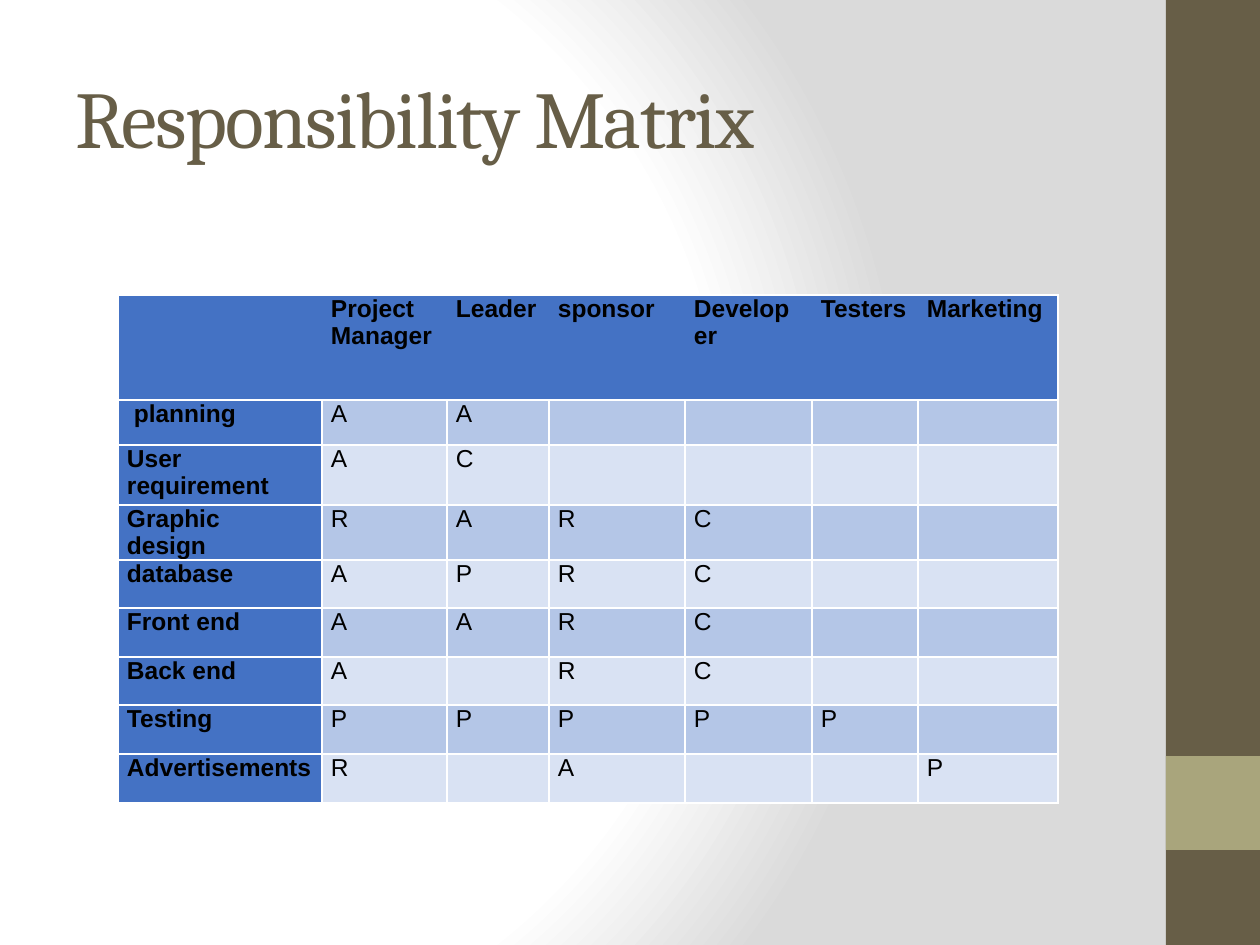
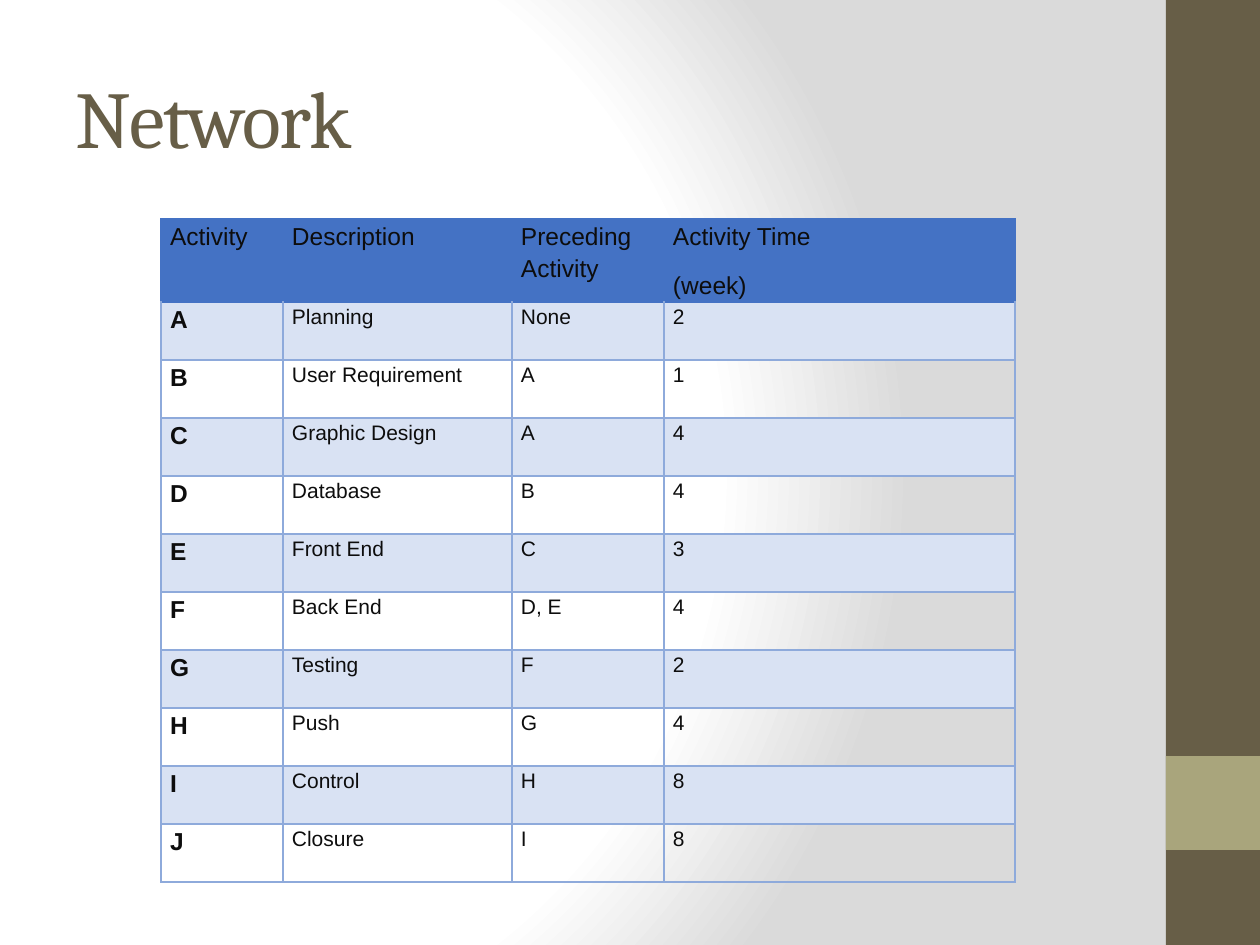
import lxml.etree
import pptx
import pptx.dml.color
import pptx.enum.shapes
import pptx.enum.text
import pptx.oxml
import pptx.oxml.ns
import pptx.util

RGB = pptx.dml.color.RGBColor
qn = pptx.oxml.ns.qn

PX = 914400 / 126  # EMU in one px

BROWN = RGB(0x67, 0x5E, 0x47)
SAGE = RGB(0xA9, 0xA5, 0x7C)
BLUE = RGB(0x44, 0x72, 0xC4)
MID_BLUE = RGB(0xB4, 0xC6, 0xE7)
PALE_BLUE = RGB(0xD9, 0xE2, 0xF3)
LINE_BLUE = RGB(0x8E, 0xAA, 0xDB)
WHITE = RGB(0xFF, 0xFF, 0xFF)
BLACK = RGB(0x00, 0x00, 0x00)
INK = RGB(0x0D, 0x0D, 0x0D)

NO_TABLE_STYLE = "{2D5ABB26-0587-4C30-8999-92F81FD0307C}"
BACKGROUND = f"""
<p:bg {pptx.oxml.ns.nsdecls("p", "a")}><p:bgPr>
  <a:gradFill rotWithShape="1">
    <a:gsLst>
      <a:gs pos="0"><a:srgbClr val="FFFFFF"/></a:gs>
      <a:gs pos="75000"><a:srgbClr val="FFFFFF"/></a:gs>
      <a:gs pos="100000"><a:srgbClr val="DADADA"/></a:gs>
    </a:gsLst>
    <a:path path="circle"><a:fillToRect l="20000" t="50000" r="100000" b="50000"/></a:path>
  </a:gradFill>
  <a:effectLst/>
</p:bgPr></p:bg>"""


def px(*lengths):
    return [pptx.util.Emu(round(length * PX)) for length in lengths]


def add_grid(slide, left, top, widths, heights, rows):
    """Add an unstyled table holding the texts of rows, and return it."""
    frame = slide.shapes.add_table(
        len(rows), len(widths), *px(left, top, sum(widths), sum(heights)))
    table = frame.table
    table.first_row = table.horz_banding = False
    frame.element.find(".//" + qn("a:tableStyleId")).text = NO_TABLE_STYLE
    for column, width in zip(table.columns, px(*widths)):
        column.width = width
    for row, height, texts in zip(table.rows, px(*heights), rows):
        row.height = height
        for cell, text in zip(row.cells, texts):
            cell.text = text
            cell.margin_left, cell.margin_right, cell.margin_top, cell.margin_bottom = px(9, 9, 0, 0)
    return table


def format_cell(cell, size, bold, ink, fill, edges):
    """Set font, fill and 1 pt edges; edges maps L, R, T, B to a colour."""
    for paragraph in cell.text_frame.paragraphs:
        paragraph.font.name = "Arial"
        paragraph.font.size = pptx.util.Pt(size)
        paragraph.font.bold = bold
        paragraph.font.color.rgb = ink
    properties = cell._tc.get_or_add_tcPr()
    for side in "LRTB":
        if side in edges:
            line = lxml.etree.SubElement(properties, qn("a:ln" + side), w="12700")
            solid = lxml.etree.SubElement(line, qn("a:solidFill"))
            lxml.etree.SubElement(solid, qn("a:srgbClr"), val=str(edges[side]))
    if fill is None:
        cell.fill.background()
    else:
        cell.fill.solid()
        cell.fill.fore_color.rgb = fill


deck = pptx.Presentation()
deck.slide_width, deck.slide_height = px(1260, 945)
title_only = deck.slide_layouts[5]

# Shared background, on the master
master = deck.slide_master
common = master.element.cSld
common.remove(common.find(qn("p:bg")))
common.insert(0, pptx.oxml.parse_xml(BACKGROUND))

# Titles
slides = []
for heading in ("Responsibility Matrix", "Network"):
    slide = deck.slides.add_slide(title_only)
    slides.append(slide)
    title = slide.shapes.title
    title.left, title.top, title.width, title.height = px(63, 38, 1050, 195 - 38)
    title.text = heading
    title.text_frame.auto_size = pptx.enum.text.MSO_AUTO_SIZE.NONE
    title.text_frame.vertical_anchor = pptx.enum.text.MSO_ANCHOR.MIDDLE
    paragraph = title.text_frame.paragraphs[0]
    paragraph.alignment = pptx.enum.text.PP_ALIGN.LEFT
    paragraph.font.name = "Cambria"
    paragraph.font.size = pptx.util.Pt(46)
    paragraph.font.color.rgb = BROWN
    paragraph.runs[0]._r.get_or_add_rPr().set("spc", "-100")
matrix_slide, network_slide = slides

# Side bands: drawn on a slide, then moved to the master
for number, (top, height, colour) in enumerate([(0, 945, BROWN), (756, 94, SAGE)]):
    band = matrix_slide.shapes.add_shape(
        pptx.enum.shapes.MSO_SHAPE.RECTANGLE, *px(1166, top, 94, height))
    band.shadow.inherit = False
    band.fill.solid()
    band.fill.fore_color.rgb = colour
    band.line.fill.background()
    band.element.nvSpPr.cNvPr.set("id", str(20 + number))
    master.shapes.element.append(band.element)

# Responsibility matrix
duties = [
    ("", "Project Manager", "Leader", "sponsor", "Developer", "Testers", "Marketing"),
    (" planning", "A", "A", "", "", "", ""),
    ("User requirement", "A", "C", "", "", "", ""),
    ("Graphic\ndesign", "R", "A", "R", "C", "", ""),
    ("database", "A", "P", "R", "C", "", ""),
    ("Front end", "A", "A", "R", "C", "", ""),
    ("Back end", "A", "", "R", "C", "", ""),
    ("Testing", "P", "P", "P", "P", "P", ""),
    ("Advertisements", "R", "", "A", "", "", "P"),
]
matrix = add_grid(matrix_slide, 118, 295, [204, 125, 102, 136, 127, 106, 140],
                  [105, 45, 60, 55, 48, 49, 48, 49, 49], duties)
for r, row in enumerate(matrix.rows):
    for c, cell in enumerate(row.cells):
        is_heading = r == 0 or c == 0
        sides = "LRTB"
        if r == 0:
            sides = "TB" + "L" * (c == 0) + "R" * (c == len(duties[0]) - 1)
        fill = BLUE if is_heading else MID_BLUE if r % 2 else PALE_BLUE
        format_cell(cell, 14, is_heading, BLACK, fill, dict.fromkeys(sides, WHITE))

# Network activities
activities = [
    ("Activity", "Description", "Preceding Activity", "Activity Time\n(week)"),
    ("A", "Planning", "None", "2"),
    ("B", "User Requirement", "A", "1"),
    ("C", "Graphic Design", "A", "4"),
    ("D", "Database", "B", "4"),
    ("E", "Front End", "C", "3"),
    ("F", "Back End", "D, E", "4"),
    ("G", "Testing", "F", "2"),
    ("H", "Push", "G", "4"),
    ("I", "Control", "H", "8"),
    ("J", "Closure", "I", "8"),
]
network = add_grid(network_slide, 161, 219, [122, 229, 152, 351],
                   [83] + [58] * 10, activities)
for r, row in enumerate(network.rows):
    for c, cell in enumerate(row.cells):
        edges = dict.fromkeys("LRTB", BLUE if r == 0 else LINE_BLUE)
        if r == 1:
            edges["T"] = BLUE
        fill = BLUE if r == 0 else PALE_BLUE if r % 2 else None
        size = 14 if r == 0 or c == 0 else 12
        format_cell(cell, size, r > 0 and c == 0, INK, fill, edges)
        for paragraph in cell.text_frame.paragraphs:
            paragraph.line_spacing = 1.15
            paragraph.space_after = pptx.util.Pt(10)

deck.save("out.pptx")
